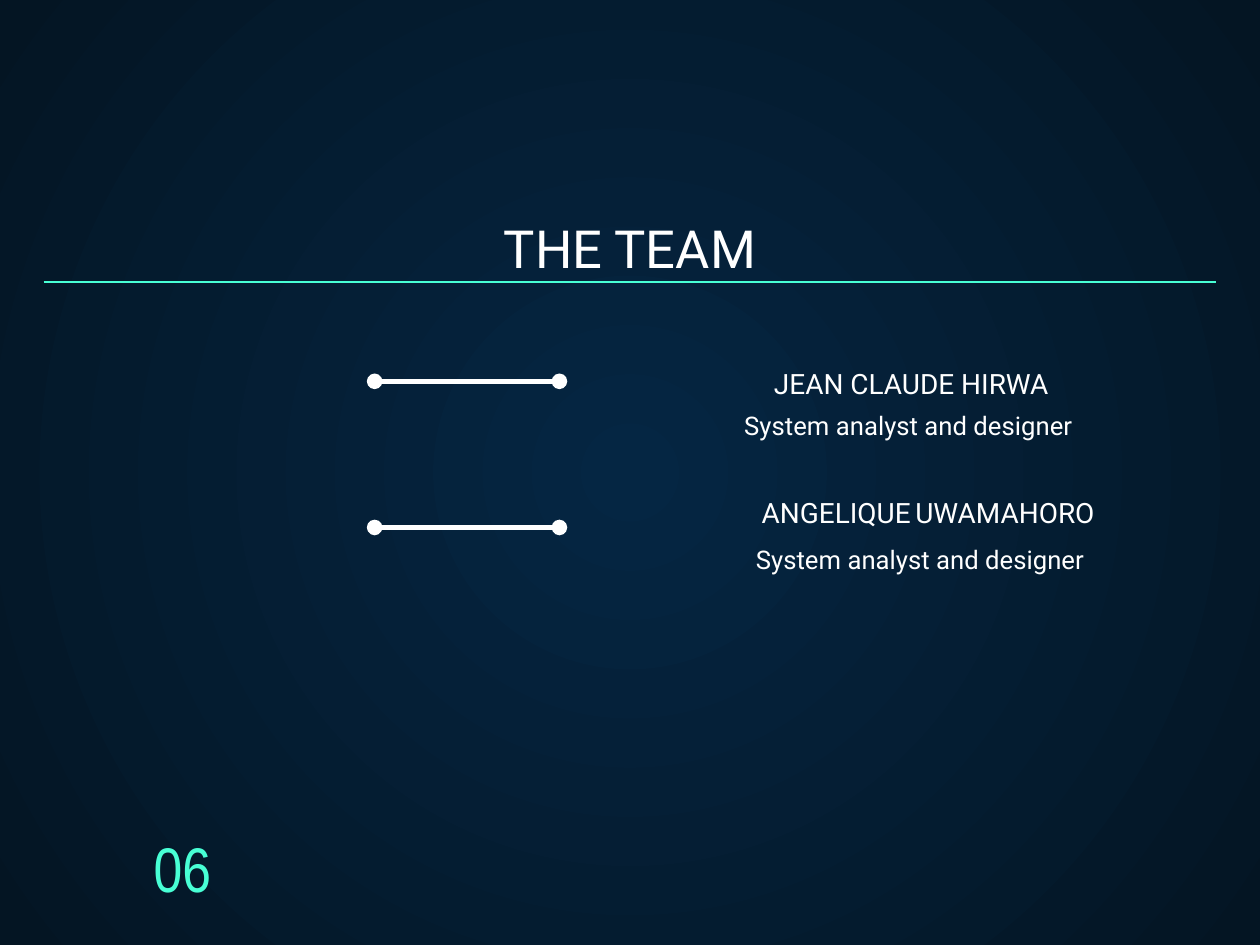
from typing import NamedTuple

from lxml.etree import SubElement
from pptx import Presentation
from pptx.dml.color import RGBColor
from pptx.enum.shapes import MSO_CONNECTOR
from pptx.enum.text import MSO_ANCHOR, PP_ALIGN
from pptx.oxml.ns import qn
from pptx.slide import Slide
from pptx.util import Inches, Pt

WHITE = RGBColor(0xFF, 0xFF, 0xFF)
MINT = RGBColor(0x48, 0xFF, 0xD5)
NAVY = RGBColor(0x05, 0x26, 0x43)
MIDNIGHT = RGBColor(0x04, 0x15, 0x23)
INSET = Inches(0.07)
SLIDE_WIDTH = Inches(7.5)
SLIDE_HEIGHT = SLIDE_WIDTH * 3 // 4


class Box(NamedTuple):
    """Left, top, width and height in inches."""
    left: float
    top: float
    width: float
    height: float


class Member(NamedTuple):
    """A team member with the places of name, role and marker line."""
    name: str
    name_box: Box
    role: str
    role_box: Box
    marker_y: float
    space_size: float = 12


TEAM = (
    Member("JEAN CLAUDE HIRWA", Box(4.43, 2.11, 1.99, 0.16),
           "System analyst and designer", Box(4.36, 2.34, 2.12, 0.41), 2.27),
    Member("ANGELIQUE UWAMAHORO", Box(4.43, 2.88, 2.19, 0.26),
           "System analyst and designer", Box(4.43, 3.14, 2.2, 0.41), 3.14,
           space_size=7.5),
)


def paint_background(slide: Slide) -> None:
    """Fill the background with a circular gradient from its centre."""
    fill = slide.background.fill
    fill.gradient()
    for stop, color in zip(fill.gradient_stops, (NAVY, MIDNIGHT)):
        stop.color.rgb = color
    linear = next(slide.element.iter(qn("a:lin")))
    gradient = linear.getparent()
    gradient.remove(linear)
    circle = SubElement(gradient, qn("a:path"), {"path": "circle"})
    SubElement(circle, qn("a:fillToRect"),
               {side: "50000" for side in ("l", "t", "r", "b")})


def write(slide: Slide, text: str, box: Box, *, size: float,
          color: RGBColor = WHITE, font: str = "Roboto",
          align: PP_ALIGN = PP_ALIGN.CENTER,
          anchor: MSO_ANCHOR = MSO_ANCHOR.TOP, line_spacing: float = 1.0,
          space_after: float = 0, space_size: float | None = None) -> None:
    """Write one paragraph; space_size sets the size of its first space."""
    frame = slide.shapes.add_textbox(*map(Inches, box)).text_frame
    frame.word_wrap = True
    frame.vertical_anchor = anchor
    frame.margin_left = frame.margin_right = INSET
    frame.margin_top = frame.margin_bottom = INSET
    paragraph = frame.paragraphs[0]
    paragraph.alignment = align
    paragraph.line_spacing = line_spacing
    paragraph.space_after = Pt(space_after)
    split = space_size is not None and space_size != size
    for part in text.partition(" ") if split else (text,):
        run = paragraph.add_run()
        run.text = part
        run.font.name = font
        run.font.size = Pt(space_size if part == " " else size)
        run.font.color.rgb = color


def draw_rule(slide: Slide, left: float, right: float, y: float, *,
              color: RGBColor, width: float, dotted_ends: bool = False) -> None:
    """Draw a horizontal line, with round dots at both ends if asked."""
    rule = slide.shapes.add_connector(
        MSO_CONNECTOR.STRAIGHT, Inches(left), Inches(y), Inches(right), Inches(y))
    rule.line.color.rgb = color
    rule.line.width = Pt(width)
    properties = rule.element.spPr
    if dotted_ends:
        outline = properties.find(qn("a:ln"))
        for end in ("a:headEnd", "a:tailEnd"):
            SubElement(outline, qn(end), {"type": "oval"})
    SubElement(properties, qn("a:effectLst"))


def draw_member(slide: Slide, member: Member) -> None:
    """Draw a member's marker line, name and role."""
    draw_rule(slide, 2.23, 3.33, member.marker_y,
              color=WHITE, width=2.25, dotted_ends=True)
    write(slide, member.name, member.name_box, size=12,
          space_size=member.space_size)
    write(slide, member.role, member.role_box, size=11, align=PP_ALIGN.LEFT,
          line_spacing=1.15, space_after=12)


presentation = Presentation()
presentation.slide_width = SLIDE_WIDTH
presentation.slide_height = SLIDE_HEIGHT
team_slide = presentation.slides.add_slide(presentation.slide_layouts[6])

paint_background(team_slide)
write(team_slide, "THE TEAM", Box(0.26, 1.23, 6.98, 0.5), size=22.5,
      anchor=MSO_ANCHOR.BOTTOM)
for team_member in TEAM:
    draw_member(team_slide, team_member)
draw_rule(team_slide, 0.26, 7.24, 1.68, color=MINT, width=0.75)
write(team_slide, "06", Box(0.07, 4.96, 2.03, 0.5), size=27, color=MINT,
      font="Arial Narrow", anchor=MSO_ANCHOR.BOTTOM)

presentation.save("out.pptx")
